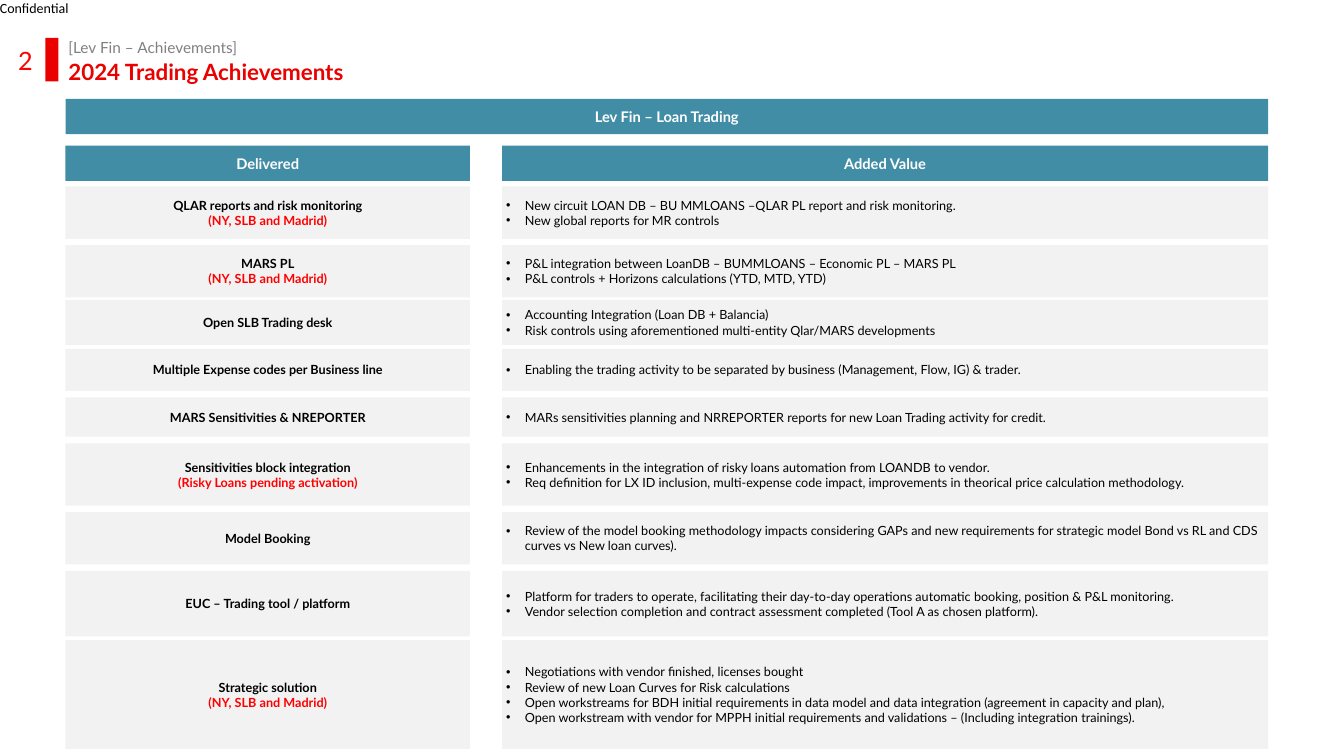
from lxml import etree
from pptx import Presentation
from pptx.dml.color import RGBColor
from pptx.enum import shapes, text
from pptx.oxml import ns
from pptx.util import Pt

RED, BRIGHT_RED, TEAL, PALE = "EB0000", "FF0000", "428DA6", "F2F2F2"
GREY, BLACK, WHITE = "808080", "000000", "FFFFFF"
DELIVERED_LEFT, DELIVERED_WIDTH = 46.8, 288.9
VALUE_LEFT, VALUE_WIDTH = 358.6, 547.3
HEADER_HEIGHT = 25.2
CELL_INSETS = (2.9, 2.9, 2.9, 2.9)
BOX_INSETS = (7.2, 3.6, 7.2, 3.6)
SITES = "(NY, SLB and Madrid)"

# top, height, delivered item, red remark, added values
ACHIEVEMENTS = [
    (133.2, 37.4, "QLAR reports and risk monitoring", SITES, [
        "New circuit LOAN DB – BU MMLOANS –QLAR PL report and risk monitoring.",
        "New global reports for MR controls"]),
    (175, 37.4, "MARS PL", SITES, [
        "P&L integration between LoanDB – BUMMLOANS – Economic PL – MARS PL",
        "P&L controls + Horizons calculations (YTD, MTD, YTD)"]),
    (214.2, 32.2, "Open SLB Trading desk", None, [
        "Accounting Integration (Loan DB + Balancia)",
        "Risk controls using aforementioned multi-entity Qlar/MARS developments"]),
    (249.1, 30.2, "Multiple Expense codes per Business line", None, [
        "Enabling the trading activity to be separated by business "
        "(Management, Flow, IG) & trader."]),
    (283.9, 28.1, "MARS Sensitivities & NREPORTER", None, [
        "MARs sensitivities planning and NRREPORTER reports for new Loan Trading "
        "activity for credit."]),
    (316.8, 44.4, "Sensitivities block integration", "(Risky Loans pending activation)", [
        "Enhancements in the integration of risky loans automation from LOANDB to vendor.",
        "Req definition for LX ID inclusion, multi-expense code impact, improvements in "
        "theorical price calculation methodology."]),
    (365.8, 37.4, "Model Booking", None, [
        "Review of the model booking methodology impacts considering GAPs and new requirements "
        "for strategic model Bond vs RL and CDS curves vs New loan curves)."]),
    (407.7, 46.8, "EUC – Trading tool / platform", None, [
        "Platform for traders to operate, facilitating their day-to-day operations automatic "
        "booking, position & P&L monitoring.",
        "Vendor selection completion and contract assessment completed "
        "(Tool A as chosen platform)."]),
    (457.2, 77.8, "Strategic solution", SITES, [
        "Negotiations with vendor finished, licenses bought",
        "Review of new Loan Curves for Risk calculations",
        "Open workstreams for BDH initial requirements in data model and data integration "
        "(agreement in capacity and plan),",
        "Open workstream with vendor for MPPH initial requirements and validations – "
        "(Including integration trainings)."]),
]


def color(hex_code):
    return RGBColor.from_string(hex_code)


def set_frame(frame, insets, anchor, wrap=True):
    frame.word_wrap = wrap
    frame.vertical_anchor = anchor
    frame.margin_left, frame.margin_top, frame.margin_right, frame.margin_bottom = map(Pt, insets)


def add_run(paragraph, words, size, hex_code, bold=False, face="Lato"):
    run = paragraph.add_run()
    run.text = words
    run.font.name = face
    run.font.size = Pt(size)
    run.font.bold = bold
    run.font.color.rgb = color(hex_code)


def add_bullet(paragraph):
    properties = paragraph._p.get_or_add_pPr()
    properties.set("marL", str(Pt(13.5)))
    properties.set("indent", str(-Pt(13.5)))
    etree.SubElement(properties, ns.qn("a:buFont"), typeface="Arial")
    etree.SubElement(properties, ns.qn("a:buChar"), char="•")


def add_block(slide, left, top, width, height, fill):
    block = slide.shapes.add_shape(
        shapes.MSO_SHAPE.RECTANGLE, Pt(left), Pt(top), Pt(width), Pt(height))
    block.shadow.inherit = False
    block.fill.solid()
    block.fill.fore_color.rgb = color(fill)
    block.line.fill.background()
    return block


def add_cell(slide, left, top, width, height, fill, lines, size, bold=False, bulleted=False):
    """Filled cell; lines is a list of (words, colour)."""
    frame = add_block(slide, left, top, width, height, fill).text_frame
    set_frame(frame, CELL_INSETS, text.MSO_ANCHOR.MIDDLE)
    for index, (words, hex_code) in enumerate(lines):
        paragraph = frame.add_paragraph() if index else frame.paragraphs[0]
        paragraph.alignment = text.PP_ALIGN.LEFT if bulleted else text.PP_ALIGN.CENTER
        if bulleted:
            add_bullet(paragraph)
        add_run(paragraph, words, size, hex_code, bold)


def add_label(slide, left, top, width, height, words, size, hex_code, bold=False,
              face="Lato", insets=BOX_INSETS, anchor=text.MSO_ANCHOR.MIDDLE,
              spacing=0.9, wrap=True):
    label = slide.shapes.add_textbox(Pt(left), Pt(top), Pt(width), Pt(height))
    set_frame(label.text_frame, insets, anchor, wrap)
    paragraph = label.text_frame.paragraphs[0]
    paragraph.line_spacing = spacing
    add_run(paragraph, words, size, hex_code, bold, face)


def add_header(slide, left, top, width, words):
    add_cell(slide, left, top, width, HEADER_HEIGHT, TEAL, [(words, WHITE)], 10.5, bold=True)


def add_achievement(slide, top, height, item, remark, values):
    delivered = [(item, BLACK)]
    if remark:
        delivered.append((remark, BRIGHT_RED))
    add_cell(slide, DELIVERED_LEFT, top, DELIVERED_WIDTH, height, PALE, delivered, 9, bold=True)
    add_cell(slide, VALUE_LEFT, top, VALUE_WIDTH, height, PALE,
             [(value, BLACK) for value in values], 9, bulleted=True)


def main():
    deck = Presentation()
    deck.slide_width, deck.slide_height = Pt(960), Pt(540)
    slide = deck.slides.add_slide(deck.slide_layouts[6])

    # Confidentiality mark, title and page number
    add_label(slide, 0, 0, 52, 12.2, "Confidential", 10, BLACK, face="Calibri",
              insets=(0, 0, 0, 0), anchor=text.MSO_ANCHOR.TOP, spacing=1, wrap=False)
    add_block(slide, 32.4, 27, 9.4, 31.2, RED)
    add_label(slide, 41.8, 26.6, 847.4, 16.6, "[Lev Fin – Achievements]", 11, GREY)
    add_label(slide, 41.8, 43.6, 847.4, 18, "2024 Trading Achievements", 16, RED, bold=True)
    add_label(slide, 5.8, 31, 40.3, 26.6, "2", 18, BRIGHT_RED, anchor=text.MSO_ANCHOR.TOP)

    # Section and column headers
    add_header(slide, DELIVERED_LEFT, 70.6, VALUE_LEFT + VALUE_WIDTH - DELIVERED_LEFT,
               "Lev Fin – Loan Trading")
    add_header(slide, DELIVERED_LEFT, 104, DELIVERED_WIDTH, "Delivered")
    add_header(slide, VALUE_LEFT, 104, VALUE_WIDTH, "Added Value")

    # Achievement rows
    for achievement in ACHIEVEMENTS:
        add_achievement(slide, *achievement)

    deck.save("out.pptx")


if __name__ == "__main__":
    main()
